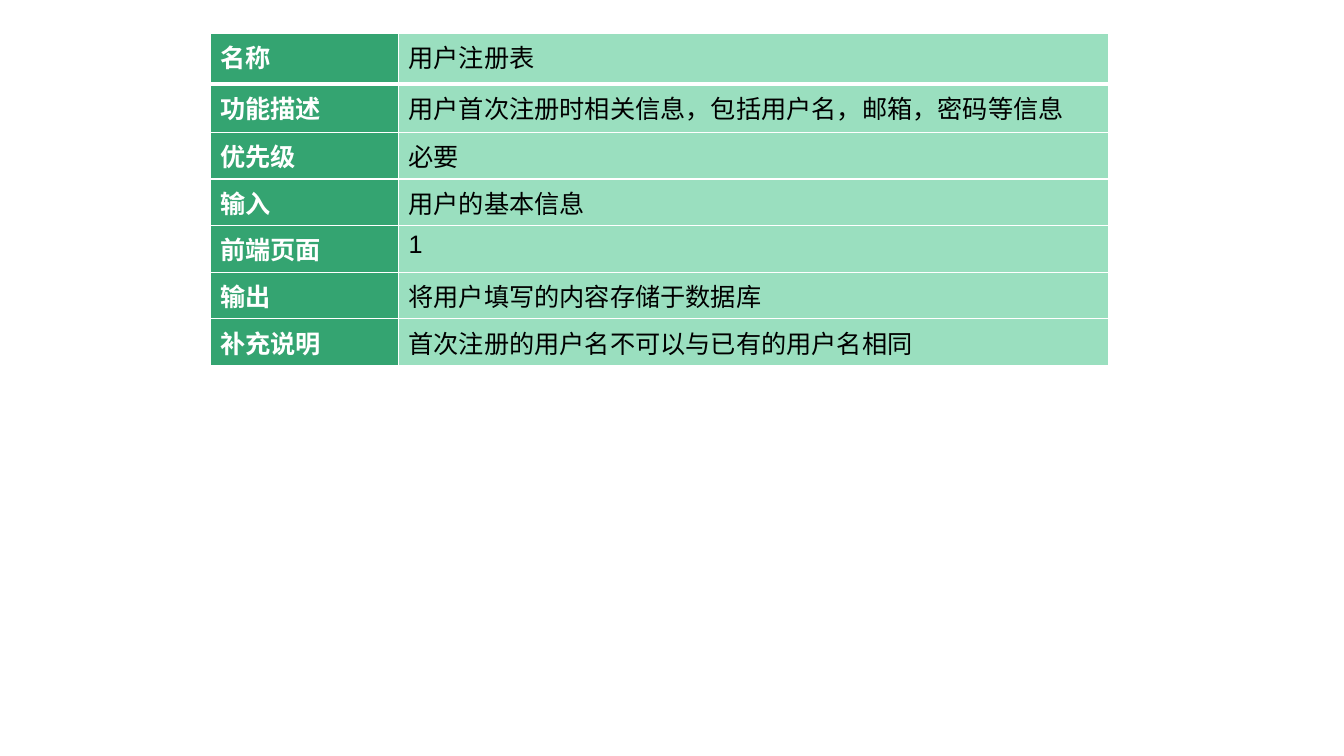
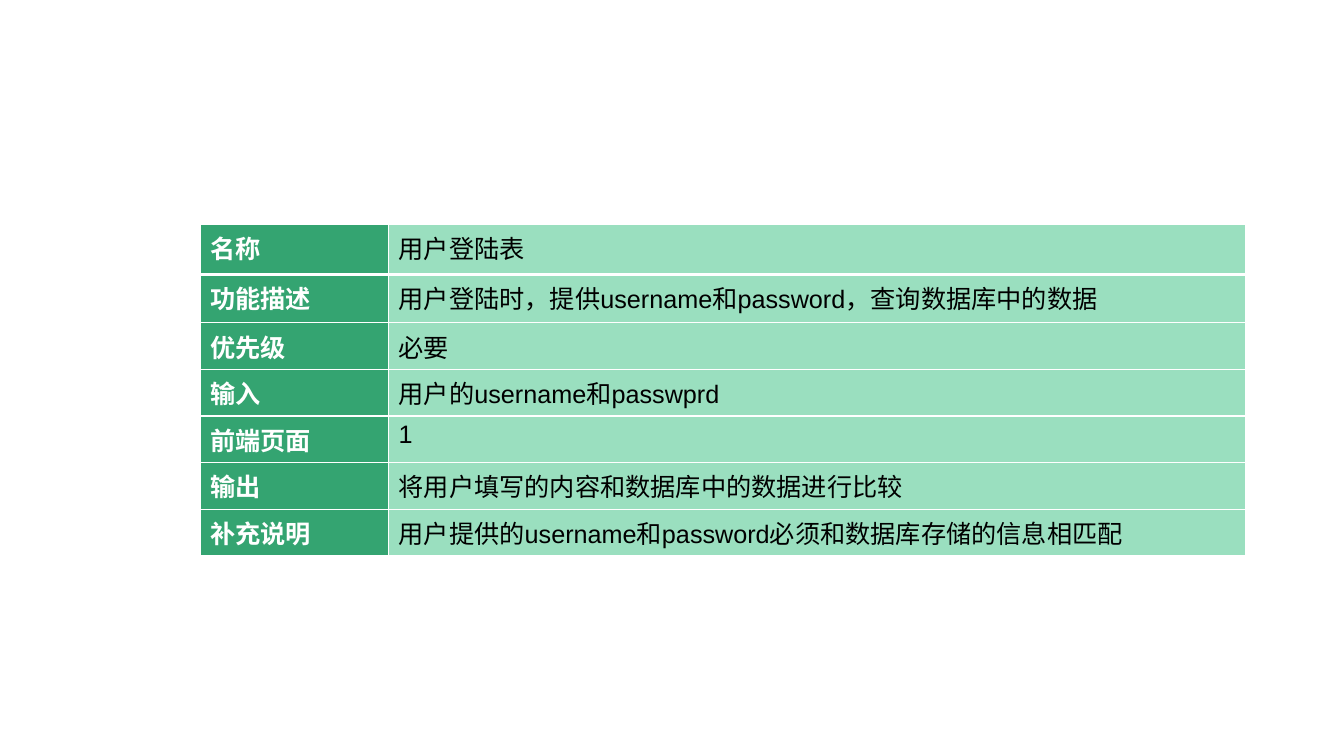
import pptx
import pptx.dml.color
import pptx.oxml
import pptx.oxml.ns
import pptx.util

Pt = pptx.util.Pt

COLORS = {"label": "34A471", "value": "9ADFBF", "white": "FFFFFF", "black": "000000"}
LABELS = ["名称", "功能描述", "优先级", "输入", "前端页面", "输出", "补充说明"]
TABLES = [
    {
        "left": 150, "top": 24, "value_width": 507.6,
        "values": [
            "用户注册表",
            "用户首次注册时相关信息，包括用户名，邮箱，密码等信息",
            "必要",
            "用户的基本信息",
            "1",
            "将用户填写的内容存储于数据库",
            "首次注册的用户名不可以与已有的用户名相同",
        ],
    },
    {
        "left": 143, "top": 160, "value_width": 612,
        "values": [
            "用户登陆表",
            "用户登陆时，提供username和password，查询数据库中的数据",
            "必要",
            "用户的username和passwprd",
            "1",
            "将用户填写的内容和数据库中的数据进行比较",
            "用户提供的username和password必须和数据库存储的信息相匹配",
        ],
    },
]
LABEL_WIDTH = 134.6
ROW_HEIGHTS = [36, 34.6] + [30.2] * 5
THIN, THICK = 1, 3
COLUMN_STYLES = [
    {"fill": "label", "color": "white", "bold": True},
    {"fill": "value", "color": "black", "bold": False},
]


def rgb(name):
    return pptx.dml.color.RGBColor.from_string(COLORS[name])


def set_borders(cell, widths):
    """Draw white cell borders; widths maps L, R, T, B to points."""
    properties = cell._tc.get_or_add_tcPr()
    for side, width in widths.items():
        properties.append(pptx.oxml.parse_xml(
            f'<a:ln{side} {pptx.oxml.ns.nsdecls("a")} w="{int(Pt(width))}">'
            f'<a:solidFill><a:srgbClr val="{COLORS["white"]}"/></a:solidFill></a:ln{side}>'))


def fill_cell(cell, text, style, borders):
    set_borders(cell, borders)
    cell.fill.solid()
    cell.fill.fore_color.rgb = rgb(style["fill"])
    cell.text = text
    font = cell.text_frame.paragraphs[0].runs[0].font
    for name, value in {"name": "Arial", "size": Pt(18), "bold": style["bold"]}.items():
        setattr(font, name, value)
    font.color.rgb = rgb(style["color"])


def add_description_table(slide, content):
    widths = [LABEL_WIDTH, content["value_width"]]
    table = slide.shapes.add_table(
        len(LABELS), len(widths), Pt(content["left"]), Pt(content["top"]),
        Pt(sum(widths)), Pt(sum(ROW_HEIGHTS))).table
    table.first_row = table.horz_banding = False
    for column, width in zip(table.columns, widths):
        column.width = Pt(width)
    for index, texts in enumerate(zip(LABELS, content["values"])):
        table.rows[index].height = Pt(ROW_HEIGHTS[index])
        borders = {
            "L": THIN, "R": THIN,
            "T": THICK if index == 1 else THIN,
            "B": THICK if index == 0 else THIN,
        }
        for column, (text, style) in enumerate(zip(texts, COLUMN_STYLES)):
            fill_cell(table.cell(index, column), text, style, borders)


def main():
    presentation = pptx.Presentation()
    presentation.slide_width, presentation.slide_height = Pt(960), Pt(540)
    for content in TABLES:
        slide = presentation.slides.add_slide(presentation.slide_layouts[6])
        add_description_table(slide, content)
    presentation.save("out.pptx")


if __name__ == "__main__":
    main()
